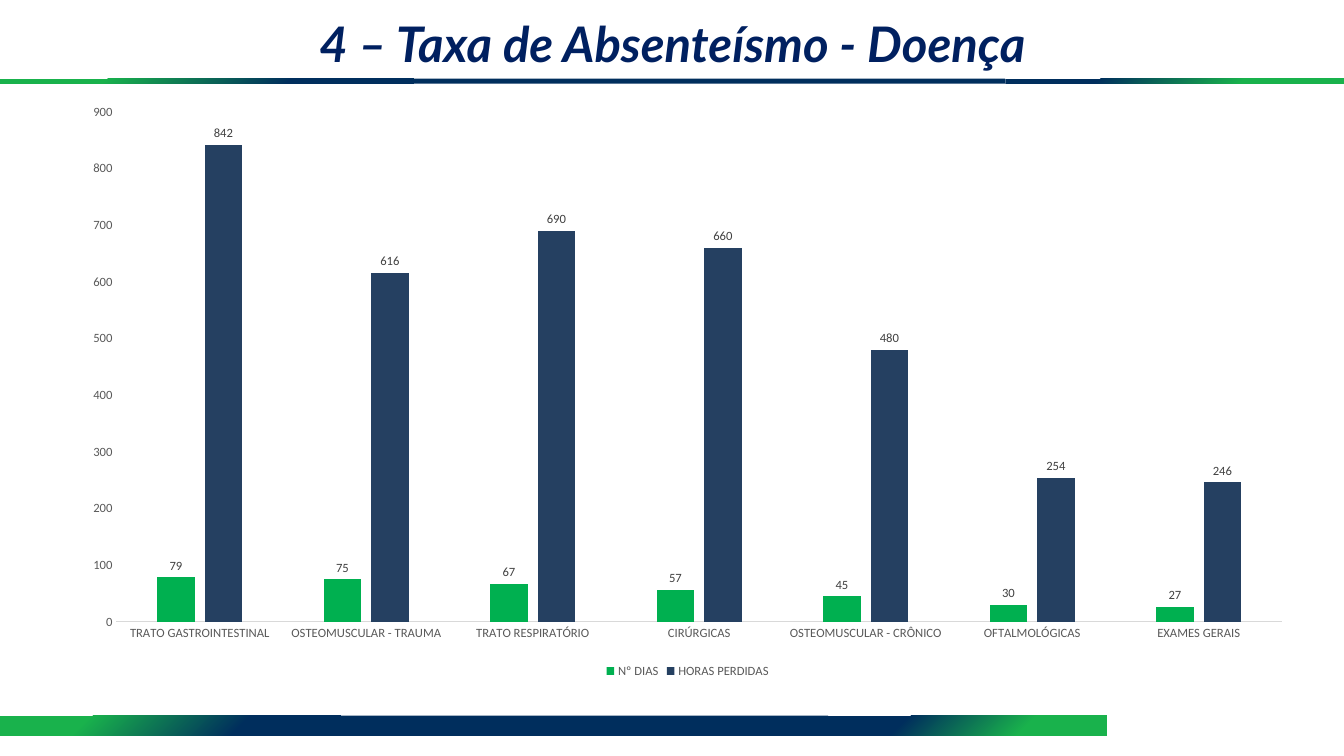
import pptx
import pptx.chart.data
import pptx.dml.color
import pptx.enum.chart
import pptx.enum.text
import pptx.oxml
import pptx.oxml.ns
import pptx.util

Inches = pptx.util.Inches
Pt = pptx.util.Pt

COLORS = {
    "title": "002060", "navy": "002E5D", "green": "19B24C",
    "days": "00B050", "hours": "254061",
    "text": "000000", "axis text": "595959", "label": "404040", "axis line": "D9D9D9",
}

CAUSES = ["TRATO GASTROINTESTINAL", "OSTEOMUSCULAR - TRAUMA", "TRATO RESPIRATÓRIO",
          "CIRÚRGICAS", "OSTEOMUSCULAR - CRÔNICO", "OFTALMOLÓGICAS", "EXAMES GERAIS"]
ABSENCES = [
    ("Nº DIAS", "days", [79, 75, 67, 57, 45, 30, 27]),
    ("HORAS PERDIDAS", "hours", [842, 616, 690, 660, 480, 254, 246]),
]

# Share of the band's width, then its gradient stops (a single stop is a solid fill)
BAND_PARTS = [
    (0.308, [(0.30, "navy"), (0.75, "green")]),
    (0.44, [(0, "navy")]),
    (0.252, [(0.30, "green"), (0.73, "navy")]),
]


def rgb(name):
    return pptx.dml.color.RGBColor.from_string(COLORS[name])


def set_attributes(target, values):
    for name, value in values.items():
        setattr(target, name, value)


def set_font(font, size, color, family="Calibri", **styles):
    set_attributes(font, {"size": Pt(size), "name": family, **styles})
    font.color.rgb = rgb(color)


def fill_radial(fill, stops):
    """Gradient spreading from the bottom right corner."""
    fill.gradient()
    for stop, (position, color) in zip(fill.gradient_stops, stops):
        stop.position = position
        stop.color.rgb = rgb(color)


def make_radial(shape):
    gradient = shape.element.spPr.find(pptx.oxml.ns.qn("a:gradFill"))
    gradient.remove(gradient.find(pptx.oxml.ns.qn("a:lin")))
    gradient.append(pptx.oxml.parse_xml(
        f'<a:path {pptx.oxml.ns.nsdecls("a")} path="circle">'
        '<a:fillToRect l="100000" t="100000"/></a:path>'))


def add_title(slide, left, top, width, height):
    title = slide.shapes.title
    set_attributes(title, {"left": Inches(left), "top": Inches(top),
                           "width": Inches(width), "height": Inches(height)})
    set_attributes(title.text_frame, {
        "text": "4 – Taxa de Absenteísmo - Doença",
        "word_wrap": True,
        "auto_size": pptx.enum.text.MSO_AUTO_SIZE.NONE,
        "vertical_anchor": pptx.enum.text.MSO_ANCHOR.TOP,
    })
    heading = title.text_frame.paragraphs[0]
    heading.alignment = pptx.enum.text.PP_ALIGN.CENTER
    set_font(heading.runs[0].font, 35, "title", "Lato", bold=True, italic=True)


def add_band(slide, left, top, width, height):
    band = slide.shapes.add_group_shape()
    for share, stops in BAND_PARTS:
        part = band.shapes.add_shape(
            pptx.enum.shapes.MSO_SHAPE.RECTANGLE,
            Inches(left), Inches(top), Inches(width * share), Inches(height))
        part.shadow.inherit = False
        part.line.fill.background()
        if len(stops) > 1:
            fill_radial(part.fill, stops)
            make_radial(part)
        else:
            part.fill.solid()
            part.fill.fore_color.rgb = rgb(stops[0][1])
        left += width * share


def add_absence_chart(slide, left, top, width, height):
    data = pptx.chart.data.CategoryChartData()
    data.categories = CAUSES
    for name, _, values in ABSENCES:
        data.add_series(name, values)
    chart = slide.shapes.add_chart(
        pptx.enum.chart.XL_CHART_TYPE.COLUMN_CLUSTERED,
        Inches(left), Inches(top), Inches(width), Inches(height), data).chart
    chart.has_title = False
    set_font(chart.font, 10, "text")

    # Legend
    chart.has_legend = True
    set_attributes(chart.legend, {
        "position": pptx.enum.chart.XL_LEGEND_POSITION.BOTTOM,
        "include_in_layout": False,
    })
    set_font(chart.legend.font, 9, "axis text")

    # Axes
    for axis in (chart.category_axis, chart.value_axis):
        set_attributes(axis, {
            "has_major_gridlines": False,
            "major_tick_mark": pptx.enum.chart.XL_TICK_MARK.NONE,
            "minor_tick_mark": pptx.enum.chart.XL_TICK_MARK.NONE,
        })
        set_font(axis.tick_labels.font, 9, "axis text")
    chart.category_axis.format.line.color.rgb = rgb("axis line")
    chart.category_axis.format.line.width = Pt(0.75)
    chart.value_axis.format.line.fill.background()
    set_attributes(chart.value_axis, {
        "minimum_scale": 0, "maximum_scale": 900, "major_unit": 100})

    # Columns and their labels
    columns = chart.plots[0]
    set_attributes(columns, {"gap_width": 219, "overlap": -27, "vary_by_categories": False})
    for series, (_, color, _) in zip(columns.series, ABSENCES):
        series.format.fill.solid()
        series.format.fill.fore_color.rgb = rgb(color)
        set_attributes(series.data_labels, {
            "show_value": True,
            "position": pptx.enum.chart.XL_LABEL_POSITION.OUTSIDE_END,
        })
        set_font(series.data_labels.font, 9, "label")


def main():
    deck = pptx.Presentation()
    set_attributes(deck, {"slide_width": Inches(13.33), "slide_height": Inches(7.5)})
    slide = deck.slides.add_slide(deck.slide_layouts[5])
    add_title(slide, 2.17, 0.08, 9, 0.79)
    add_band(slide, 0, 7.1, 10.98, 0.2)
    add_band(slide, 0, 0.78, 13.33, 0.05)
    add_absence_chart(slide, 0.68, 0.92, 12.28, 5.85)
    deck.save("out.pptx")


if __name__ == "__main__":
    main()
